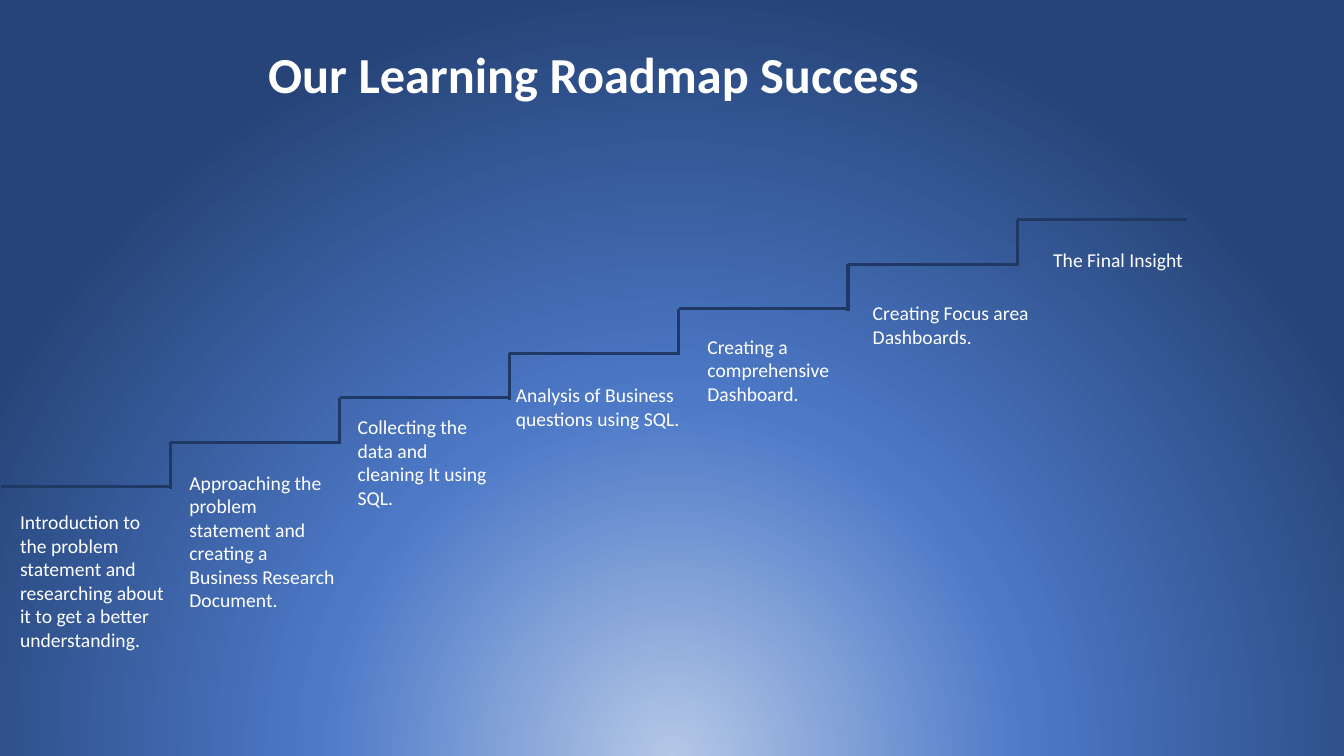
from pptx import Presentation
from pptx import util as u
from pptx.dml.color import RGBColor
from pptx.enum import shapes, text
from pptx.oxml import parse_xml
from pptx.oxml.ns import nsdecls
from lxml import etree

THEME = {
    "glow": [(0, "B4C7E7"), (46, "4D79C7"), (100, "264478")],
    "stair": RGBColor.from_string("203864"),
    "stair_width": u.Pt(2.25),
    "title": {"name": "Calibri", "size": u.Pt(36), "bold": True},
    "label": {"name": "Calibri", "size": u.Pt(14), "bold": False},
    "ink": RGBColor.from_string("FFFFFF"),
}
STEPS = [
    ("Introduction to the problem statement and researching about it to get a better understanding.",
     7.2, 360.7, 121, 113),
    ("Approaching the problem statement and creating a Business Research Document.",
     128.2, 332.6, 121, 126),
    ("Collecting the data and cleaning It using SQL.", 248.4, 293, 107.3, 97),
    ("Analysis of Business questions using SQL.", 361.4, 270, 172.8, 41),
    ("Creating a comprehensive Dashboard.", 498.2, 235.4, 123.8, 58),
    ("Creating Focus area Dashboards.", 616.3, 211.7, 173.5, 41),
    ("The Final Insight", 745.2, 173.5, 109.4, 24.5),
]
START_X, START_Y = 0.7, 347.8
TREAD, RISE, OVERLAP = 121, 31.8, 1.5


def write(box, wording, style):
    frame = box.text_frame
    frame.word_wrap = True
    frame.auto_size = text.MSO_AUTO_SIZE.NONE
    frame.vertical_anchor = text.MSO_ANCHOR.TOP
    para = frame.paragraphs[0]
    span = para.add_run()
    span.text = wording
    for name, value in THEME[style].items():
        setattr(span.font, name, value)
    span.font.color.rgb = THEME["ink"]
    return para


def draw_line(page, x1, y1, x2, y2):
    line = page.shapes.add_connector(
        shapes.MSO_CONNECTOR.STRAIGHT, u.Pt(x1), u.Pt(y1), u.Pt(x2), u.Pt(y2))
    line.line.color.rgb = THEME["stair"]
    line.line.width = THEME["stair_width"]
    effects = "{http://schemas.openxmlformats.org/drawingml/2006/main}effectLst"
    etree.SubElement(line._element.spPr, effects)


deck = Presentation()
deck.slide_width, deck.slide_height = u.Pt(960), u.Pt(540)
page = deck.slides.add_slide(deck.slide_layouts[5])

page.background.fill.solid()
backdrop = page.element.cSld.bg.bgPr
stops = "".join(
    f'<a:gs pos="{place * 1000}"><a:srgbClr val="{color}"/></a:gs>'
    for place, color in THEME["glow"])
backdrop.replace(backdrop[0], parse_xml(
    f'<a:gradFill {nsdecls("a")} rotWithShape="1"><a:gsLst>{stops}</a:gsLst>'
    '<a:path path="circle"><a:fillToRect l="50000" t="130000" r="50000" b="-30000"/></a:path>'
    '</a:gradFill>'))

title = page.shapes.title
title.left, title.top, title.width, title.height = (
    u.Pt(length) for length in (160.6, 27.4, 527, 51))
write(title, "Our Learning Roadmap Success", "title").alignment = text.PP_ALIGN.CENTER

for index, (wording, *place) in enumerate(STEPS):
    x, y = START_X + index * TREAD, START_Y - index * RISE
    draw_line(page, x, y, x + TREAD, y)
    if index < len(STEPS) - 1:
        draw_line(page, x + TREAD, y + OVERLAP, x + TREAD, y - RISE)
    box = page.shapes.add_textbox(*(u.Pt(length) for length in place))
    write(box, wording, "label")

deck.save("out.pptx")
